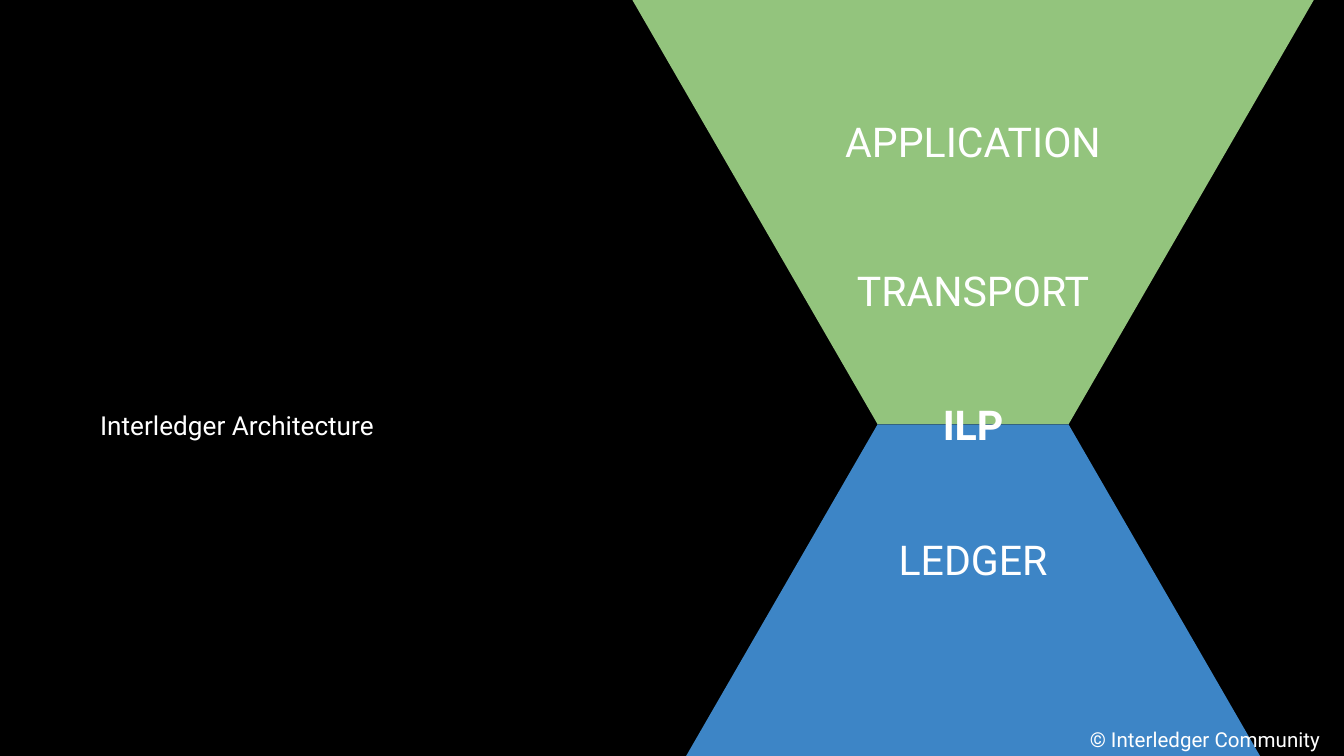
import pptx
import pptx.util
import pptx.dml.color
import pptx.enum.shapes
import pptx.enum.text

BLACK = pptx.dml.color.RGBColor(0x00, 0x00, 0x00)
WHITE = pptx.dml.color.RGBColor(0xFF, 0xFF, 0xFF)
GREEN = pptx.dml.color.RGBColor(0x93, 0xC4, 0x7D)
BLUE = pptx.dml.color.RGBColor(0x3D, 0x85, 0xC6)

SHAPES = pptx.enum.shapes.MSO_SHAPE
ALIGN = pptx.enum.text.PP_ALIGN

TITLE = "Interledger Architecture"
COPYRIGHT = "© Interledger Community"
LAYERS = [
    {"text": "APPLICATION", "middle": 18.64, "width": 44.4, "bold": False},
    {"text": "TRANSPORT", "middle": 38.33, "width": 22.3, "bold": False},
    {"text": "ILP", "middle": 56.12, "width": 10.8, "bold": True},
    {"text": "LEDGER", "middle": 73.93, "width": 22.3, "bold": False},
]
WAIST = 56.13
FUNNELS = [
    {"color": BLUE, "top": WAIST, "height": 43.87, "width": 28.5,
     "neck_top": WAIST, "neck_height": 25.4, "rotation": 0},
    {"color": GREEN, "top": 0, "height": WAIST, "width": 36.5,
     "neck_top": WAIST - 28.5, "neck_height": 28.5, "rotation": 180},
]
AXIS = 72.4
NECK_WIDTH = 14.2
LABEL_HEIGHT = 10.84

deck = pptx.Presentation()
deck.slide_width = pptx.util.Inches(10)
deck.slide_height = deck.slide_width * 9 // 16
page = deck.slides.add_slide(deck.slide_layouts[5])
page.background.fill.solid()
page.background.fill.fore_color.rgb = BLACK


def share(left, top, width, height):
    across, down = deck.slide_width / 100, deck.slide_height / 100
    return [round(length) for length in
            (left * across, top * down, width * across, height * down)]


def add_block(kind, color, area, rotation=0):
    block = page.shapes.add_shape(kind, *share(*area))
    block.shadow.inherit = False
    block.fill.solid()
    block.fill.fore_color.rgb = color
    block.line.fill.background()
    block.rotation = rotation


def write(box, text, size=22, bold=False, align=ALIGN.LEFT):
    frame = box.text_frame
    frame.word_wrap = True
    frame.auto_size = pptx.enum.text.MSO_AUTO_SIZE.NONE
    frame.vertical_anchor = pptx.enum.text.MSO_ANCHOR.MIDDLE
    frame.margin_left = frame.margin_right = pptx.util.Inches(0.1)
    frame.margin_top = frame.margin_bottom = pptx.util.Inches(0.1)
    para = frame.paragraphs[0]
    para.alignment = align
    span = para.add_run()
    span.text = text
    span.font.name = "Roboto"
    span.font.size = pptx.util.Pt(size)
    span.font.bold = bold
    span.font.color.rgb = WHITE


for funnel in FUNNELS:
    for side in (-1, 1):
        apex = AXIS + side * NECK_WIDTH / 2
        add_block(SHAPES.ISOSCELES_TRIANGLE, funnel["color"],
                  (apex - funnel["width"] / 2, funnel["top"],
                   funnel["width"], funnel["height"]), funnel["rotation"])
    add_block(SHAPES.RECTANGLE, funnel["color"],
              (AXIS - NECK_WIDTH / 2, funnel["neck_top"],
               NECK_WIDTH, funnel["neck_height"]))

title = page.shapes.title
title.left, title.top, title.width, title.height = share(6.45, 52.63, 90, 7.1)
write(title, TITLE, size=14)

for layer in LAYERS:
    label = page.shapes.add_textbox(*share(
        AXIS - layer["width"] / 2, layer["middle"] - LABEL_HEIGHT / 2,
        layer["width"], LABEL_HEIGHT))
    write(label, layer["text"], bold=layer["bold"], align=ALIGN.CENTER)

footer = page.shapes.add_textbox(*share(80.1, 95.6, 32.8, 4.4))
write(footer, COPYRIGHT, size=11)

deck.save("out.pptx")
